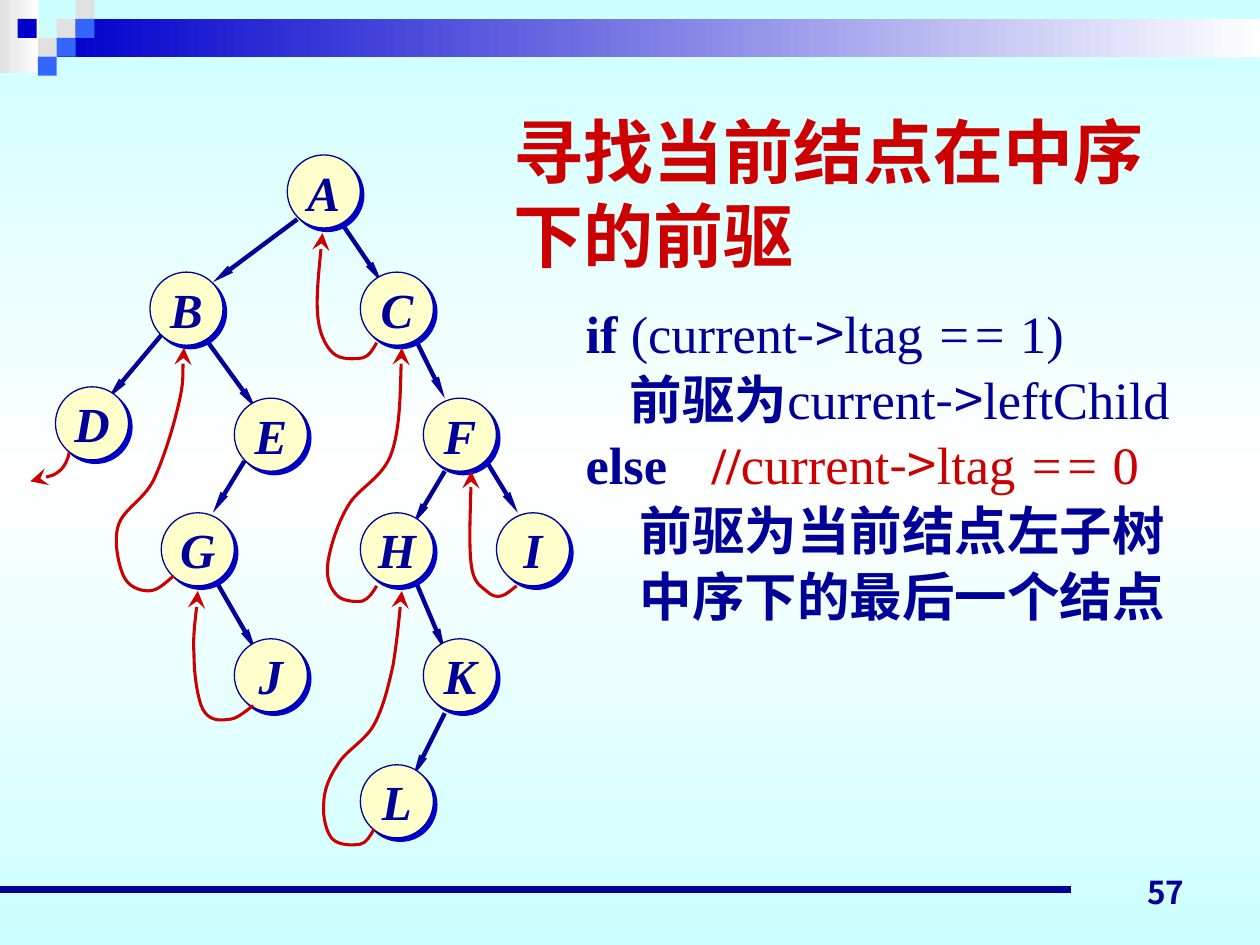
"""Build a slide on finding the in-order predecessor in a threaded binary tree."""
from copy import deepcopy

from pptx import Presentation
from pptx.dml.color import RGBColor
from pptx.enum import shapes, text
from pptx.oxml.ns import qn
from pptx.util import Inches, Pt
from lxml import etree

NAVY = RGBColor(0x00, 0x00, 0x99)
BLUE = RGBColor(0x00, 0x00, 0xCC)
SKY = RGBColor(0x33, 0x66, 0xFF)
RED = RGBColor(0xCC, 0x00, 0x00)
CREAM = RGBColor(0xFF, 0xFF, 0xCC)
CYAN = RGBColor(0xCC, 0xFF, 0xFF)
GREY = RGBColor(0xE1, 0xE1, 0xE1)
WHITE = RGBColor(0xFF, 0xFF, 0xFF)
SERIF, CJK = "Times New Roman", "Noto Sans CJK SC"
NODE_SIZE = 0.58

SQUARES = [(0.45, 0.15, GREY), (0.6, 0, GREY), (0.6, 0.15, SKY), (0.3, 0.3, GREY),
           (0.14, 0.15, BLUE), (0.45, 0.3, SKY), (0.3, 0.45, SKY)]
NODES = {"A": (2.28, 1.23), "B": (1.19, 2.16), "C": (2.86, 2.16), "D": (0.44, 3.07),
         "E": (1.86, 3.16), "F": (3.36, 3.16), "G": (1.28, 4.07), "H": (2.86, 4.07),
         "I": (3.94, 4.07), "J": (1.86, 5.07), "K": (3.36, 5.07), "L": (2.86, 6.07)}
EDGES = [(2.36, 1.74, 1.69, 2.24), (2.69, 1.74, 3.03, 2.24), (1.28, 2.66, 0.86, 3.16),
         (1.61, 2.66, 2.03, 3.24), (3.28, 2.66, 3.53, 3.16), (1.94, 3.66, 1.69, 4.07),
         (3.53, 3.74, 3.28, 4.16), (3.86, 3.66, 4.11, 4.07), (1.69, 4.57, 2.03, 5.16),
         (3.28, 4.57, 3.53, 5.16), (3.53, 5.66, 3.28, 6.16)]
THREADS = [
    [(4.1, 4.65), (4.06, 4.68), (4.02, 4.72), (3.98, 4.73), (3.94, 4.74), (3.9, 4.73),
     (3.86, 4.69), (3.82, 4.65), (3.76, 4.64), (3.74, 4.48), (3.72, 4.33), (3.74, 3.87),
     (3.74, 3.74)],
    [(2.97, 6.58), (2.94, 6.63), (2.91, 6.69), (2.86, 6.7), (2.8, 6.71), (2.69, 6.71),
     (2.64, 6.66), (2.59, 6.61), (2.56, 6.48), (2.57, 6.38), (2.57, 6.28), (2.61, 6.17),
     (2.68, 6.07), (2.74, 5.96), (2.9, 5.88), (2.97, 5.75), (3.04, 5.62), (3.08, 5.46),
     (3.12, 5.28), (3.15, 5.1), (3.18, 4.79), (3.19, 4.69)],
    [(2.99, 4.65), (2.96, 4.7), (2.93, 4.75), (2.88, 4.77), (2.82, 4.78), (2.72, 4.77),
     (2.68, 4.73), (2.63, 4.68), (2.59, 4.61), (2.6, 4.49), (2.61, 4.38), (2.67, 4.17),
     (2.76, 4.02), (2.84, 3.87), (3.04, 3.8), (3.11, 3.59), (3.18, 3.38), (3.18, 2.9),
     (3.19, 2.76)],
    [(2.99, 2.72), (2.96, 2.77), (2.93, 2.83), (2.88, 2.84), (2.82, 2.85), (2.7, 2.86),
     (2.64, 2.8), (2.58, 2.74), (2.53, 2.64), (2.52, 2.48), (2.51, 2.33), (2.55, 1.96),
     (2.56, 1.85)],
    [(2.01, 5.6), (1.94, 5.65), (1.88, 5.71), (1.81, 5.71), (1.74, 5.72), (1.66, 5.72),
     (1.61, 5.63), (1.57, 5.55), (1.54, 5.36), (1.54, 5.2), (1.53, 5.04), (1.57, 4.77),
     (1.57, 4.69)],
    [(1.38, 4.57), (1.31, 4.63), (1.25, 4.69), (1.18, 4.69), (1.11, 4.69), (1.02, 4.66),
     (0.98, 4.57), (0.94, 4.48), (0.9, 4.29), (0.94, 4.17), (0.98, 4.04), (1.14, 3.97),
     (1.22, 3.81), (1.3, 3.64), (1.38, 3.38), (1.42, 3.2), (1.46, 3.03), (1.45, 2.83),
     (1.46, 2.76)],
    [(0.55, 3.59), (0.54, 3.64), (0.52, 3.7), (0.47, 3.74), (0.42, 3.78), (0.28, 3.81),
     (0.24, 3.82)],
]
BOLD, ITALIC, GLYPH = {"bold": True}, {"italic": True}, {"name": CJK}
CODE = [
    (0.41, [("if", BOLD), (" (current", {}), ("->", GLYPH), ("ltag ", {}),
            ("== ", ITALIC), ("1)", {})]),
    (0.76, [("前驱为", BOLD), ("current", {}), ("->", GLYPH), ("leftChild", {})]),
    (0.41, [("else\t", BOLD), ("//", {"bold": True, "color": RED}),
            ("current", {"color": RED}), ("->", {"name": CJK, "color": RED}),
            ("ltag ", {"color": RED}), ("== ", {"italic": True, "color": RED}),
            ("0", {"color": RED})]),
    (0.84, [("前驱为当前结点左子树", BOLD)]),
    (0.84, [("中序下的最后一个结点", BOLD)]),
]


def gradient(fill, *colors):
    """Give a fill evenly spaced gradient stops."""
    fill.gradient()
    fill.gradient_angle = 0 if len(colors) == 2 else 90
    first = fill.gradient_stops[0]._gs
    for _ in colors[2:]:
        first.getparent().append(deepcopy(first))
    for i, (stop, color) in enumerate(zip(fill.gradient_stops, colors)):
        stop.position = i / (len(colors) - 1)
        stop.color.rgb = color


def rect(s, x, y, w, h, *colors):
    """Add a borderless rectangle with a solid or gradient fill."""
    sp = s.shapes.add_shape(shapes.MSO_SHAPE.RECTANGLE, *map(Inches, (x, y, w, h)))
    sp.shadow.inherit = False
    sp.line.fill.background()
    if len(colors) > 1:
        gradient(sp.fill, *colors)
    else:
        sp.fill.solid()
        sp.fill.fore_color.rgb = colors[0]


def stroke(sp, color, width, head=None, head_width="lg"):
    """Set an outline and an optional arrowhead at its end."""
    sp.line.color.rgb = color
    sp.line.width = Pt(width)
    if head:
        etree.SubElement(sp.line._get_or_add_ln(), qn("a:tailEnd"),
                         type=head, w=head_width, len="lg")


def line(s, ends, width, **head):
    """Add a straight navy connector without a shadow."""
    sp = s.shapes.add_connector(shapes.MSO_CONNECTOR.STRAIGHT, *map(Inches, ends))
    stroke(sp, NAVY, width, **head)
    etree.SubElement(sp._element.spPr, qn("a:effectLst"))


def thread(s, points):
    """Add a red curved arrow through cubic Bezier control points."""
    start, *rest = [(Inches(x), Inches(y)) for x, y in points]
    builder = s.shapes.build_freeform(*start)
    builder.add_line_segments(rest, close=False)
    sp = builder.convert_to_shape()
    sp.shadow.inherit = False
    sp.fill.background()
    stroke(sp, RED, 1.75, "stealth")
    outline = sp._element.find(".//" + qn("a:path"))
    segments = outline.findall(qn("a:lnTo"))
    for i in range(0, len(segments), 3):
        curve = etree.SubElement(outline, qn("a:cubicBezTo"))
        for segment in segments[i:i + 3]:
            curve.append(segment[0])
            outline.remove(segment)


def add_run(p, content, **fmt):
    """Add a run formatted from a dict of font values."""
    r = p.add_run()
    r.text = content
    color = fmt.pop("color", NAVY)
    for key, value in fmt.items():
        setattr(r.font, key, value)
    r.font.color.rgb = color
    etree.SubElement(r._r.get_or_add_rPr(), qn("a:ea"), typeface=CJK)


def node(s, label, x, y):
    """Add a round tree node with a hard offset shadow."""
    sp = s.shapes.add_shape(shapes.MSO_SHAPE.OVAL, Inches(x), Inches(y),
                            Inches(NODE_SIZE), Inches(NODE_SIZE))
    sp.fill.solid()
    sp.fill.fore_color.rgb = CREAM
    stroke(sp, NAVY, 0.75)
    sp.shadow.inherit = False
    shadow = etree.SubElement(sp._element.spPr.find(qn("a:effectLst")), qn("a:outerShdw"),
                              dist=str(Pt(2.8)), dir="2700000", algn="ctr", rotWithShape="0")
    etree.SubElement(shadow, qn("a:srgbClr"), val=str(BLUE))
    tf = sp.text_frame
    tf.word_wrap = False
    tf.vertical_anchor = text.MSO_ANCHOR.MIDDLE
    p = tf.paragraphs[0]
    p.alignment = text.PP_ALIGN.CENTER
    add_run(p, label, name=SERIF, size=Pt(28), bold=True, italic=True)


def textbox(s, x, y, w, h, anchor):
    """Add a wrapping text box and return its frame."""
    tf = s.shapes.add_textbox(*map(Inches, (x, y, w, h))).text_frame
    tf.word_wrap = True
    tf.vertical_anchor = anchor
    return tf


def title(s):
    """Add the two-line heading."""
    p = textbox(s, 3.98, 0.74, 5.35, 1.57, text.MSO_ANCHOR.MIDDLE).paragraphs[0]
    p.line_spacing = Pt(48)
    fmt = {"name": "Arial", "size": Pt(40), "bold": True, "color": RED}
    add_run(p, "寻找当前结点在中序", **fmt)
    p.add_line_break()
    add_run(p, "下的前驱", **fmt)


def pseudocode(s):
    """Add the predecessor rule with indents and a comment tab."""
    tf = textbox(s, 4.14, 2.34, 5.83, 3.03, text.MSO_ANCHOR.TOP)
    for i, (indent, runs) in enumerate(CODE):
        p = tf.add_paragraph() if i else tf.paragraphs[0]
        p.line_spacing = Pt(36)
        p.space_before = Pt(1.5 if i else 0)
        pPr = p._p.get_or_add_pPr()
        pPr.set("marL", str(Inches(indent)))
        pPr.set("indent", "0")
        if any("\t" in content for content, _ in runs):
            tabs = etree.SubElement(pPr, qn("a:tabLst"))
            etree.SubElement(tabs, qn("a:tab"), pos=str(Inches(1.47)), algn="l")
        for content, fmt in runs:
            add_run(p, content, **{"name": SERIF, "size": Pt(30), "bold": False, **fmt})


def main():
    """Build and save the slide."""
    prs = Presentation()
    prs.slide_width, prs.slide_height = Inches(10), Inches(7.5)
    s = prs.slides.add_slide(prs.slide_layouts[6])
    gradient(s.background.fill, CYAN, WHITE, CYAN)
    rect(s, 0, 0, 0.31, 0.58, GREY, WHITE)
    rect(s, 0.45, 0.15, 9.55, 0.3, BLUE, WHITE)
    for x, y, color in SQUARES:
        rect(s, x, y, 0.15, 0.15, color)
    line(s, (0, 7.06, 8.5, 7.06), 4.5)
    p = textbox(s, 7.17, 6.78, 2.33, 0.5, text.MSO_ANCHOR.BOTTOM).paragraphs[0]
    p.alignment = text.PP_ALIGN.RIGHT
    add_run(p, "57", name="Noto Sans CJK JP", size=Pt(18), bold=True)
    title(s)
    pseudocode(s)
    for ends in EDGES:
        line(s, ends, 2.5, head="triangle", head_width="sm")
    for label, (x, y) in NODES.items():
        node(s, label, x, y)
    for points in THREADS:
        thread(s, points)
    prs.save("out.pptx")


if __name__ == "__main__":
    main()
